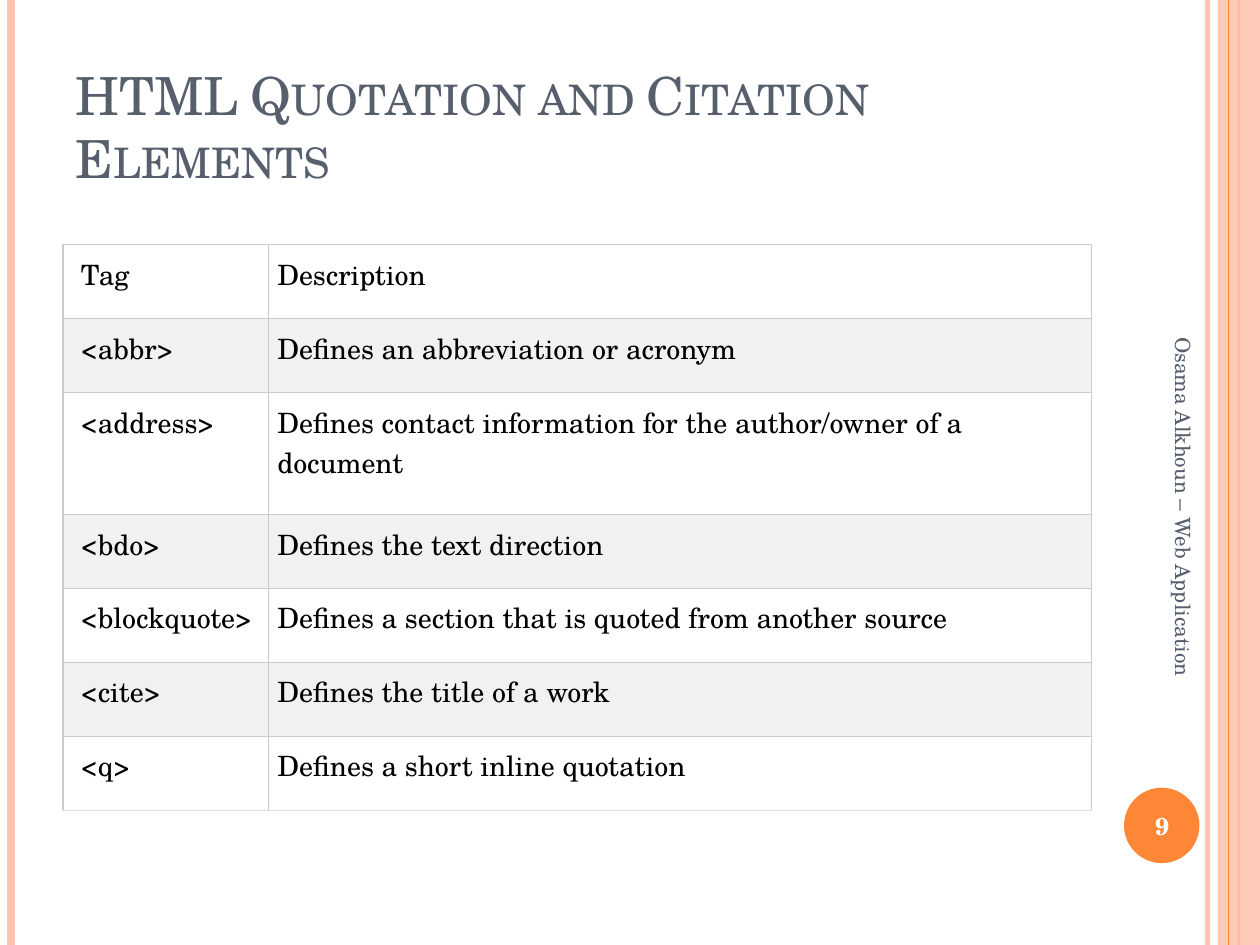
from pptx import Presentation
from pptx.dml.color import RGBColor
from pptx.enum import shapes, text
from pptx.oxml import parse_xml
from pptx.oxml.ns import nsdecls, qn
from pptx.util import Cm, Pt

TITLE = "HTML Quotation and Citation Elements"
FOOTER = "Osama Alkhoun – Web Application"
PAGE_NUMBER = "9"
ROWS = [
    ("Tag", "Description"),
    ("<abbr>", "Defines an abbreviation or acronym"),
    ("<address>", "Defines contact information for the author/owner of a document"),
    ("<bdo>", "Defines the text direction"),
    ("<blockquote>", "Defines a section that is quoted from another source"),
    ("<cite>", "Defines the title of a work"),
    ("<q>", "Defines a short inline quotation"),
]

FONT = "TeX Gyre Schola"
ORANGE = RGBColor(0xFE, 0x86, 0x37)
PEACH = RGBColor(0xFE, 0xC3, 0xAE)
SLATE = RGBColor(0x57, 0x5F, 0x6D)
BLACK = RGBColor(0, 0, 0)
WHITE = RGBColor(0xFF, 0xFF, 0xFF)
GREY = RGBColor(0xF1, 0xF1, 0xF1)
BORDER = RGBColor(0xCC, 0xCC, 0xCC)
LAST_BORDER = RGBColor(0xDD, 0xDD, 0xDD)

WIDTH, HEIGHT = Cm(25.4), Cm(19.05)
COLUMN_WIDTHS = (4.14, 16.6)
LEFT_INSETS = (0.36, 0.18)
ROW_HEIGHT, TALL_ROW_HEIGHT, TALL_ROW = 1.49, 2.46, 2


def set_alpha(fill, percent):
    color = fill._xPr.find(qn("a:solidFill"))[0]
    color.append(parse_xml(f'<a:alpha {nsdecls("a")} val="{percent * 1000}"/>'))


def write(frame, words, size, color, bold=False, align=text.PP_ALIGN.LEFT):
    frame.word_wrap = True
    para = frame.paragraphs[0]
    para.text = words
    para.alignment = align
    font = para.font
    font.name, font.size, font.bold = FONT, Pt(size), bold
    font.color.rgb = color


def add_text(page, place, words, size, color, anchor, **style):
    box = page.shapes.add_textbox(*map(Cm, place))
    box.text_frame.vertical_anchor = anchor
    write(box.text_frame, words, size, color, **style)
    return box


def add_vertical_line(page, x, color, width, alpha=100):
    line = page.shapes.add_connector(
        shapes.MSO_CONNECTOR.STRAIGHT, Cm(x), 0, Cm(x), HEIGHT)
    line.line.color.rgb = color
    line.line.width = Pt(width)
    if alpha < 100:
        set_alpha(line.line.fill, alpha)
    line._element.spPr.append(parse_xml(f'<a:effectLst {nsdecls("a")}/>'))


def add_filled(page, kind, place, color):
    shape = page.shapes.add_shape(kind, *map(Cm, place))
    shape.fill.solid()
    shape.fill.fore_color.rgb = color
    shape.line.fill.background()
    shape.shadow.inherit = False
    return shape


def set_borders(cell, bottom):
    sides = {"lnL": BORDER, "lnR": BORDER, "lnT": BORDER, "lnB": bottom}
    for index, (side, color) in enumerate(sides.items()):
        cell._tc.get_or_add_tcPr().insert(index, parse_xml(
            f'<a:{side} {nsdecls("a")} w="{Pt(0.75)}"><a:solidFill>'
            f'<a:srgbClr val="{color}"/></a:solidFill></a:{side}>'))


def add_tag_table(page):
    heights = [TALL_ROW_HEIGHT if i == TALL_ROW else ROW_HEIGHT
               for i in range(len(ROWS))]
    table = page.shapes.add_table(
        len(ROWS), len(COLUMN_WIDTHS), Cm(1.27), Cm(4.93),
        Cm(sum(COLUMN_WIDTHS)), Cm(sum(heights))).table
    for column, width in zip(table.columns, COLUMN_WIDTHS):
        column.width = Cm(width)
    for r, (row, height) in enumerate(zip(table.rows, heights)):
        row.height = Cm(height)
        for c, cell in enumerate(row.cells):
            write(cell.text_frame, ROWS[r][c], 16, BLACK)
            cell.margin_left = Cm(LEFT_INSETS[c])
            cell.margin_top = cell.margin_right = cell.margin_bottom = Cm(0.18)
            cell.fill.solid()
            cell.fill.fore_color.rgb = GREY if r % 2 else WHITE
            set_borders(cell, LAST_BORDER if r == len(ROWS) - 1 else BORDER)


def main():
    deck = Presentation()
    deck.slide_width, deck.slide_height = WIDTH, HEIGHT
    page = deck.slides.add_slide(deck.slide_layouts[6])

    # Side bands and number disc
    add_filled(page, shapes.MSO_SHAPE.OVAL, (22.66, 15.88, 1.52, 1.52), ORANGE)
    add_vertical_line(page, 24.34, PEACH, 3, alpha=93)
    add_vertical_line(page, 0.22, PEACH, 4.5)
    add_vertical_line(page, 24.97, ORANGE, 1.5)
    band = add_filled(page, shapes.MSO_SHAPE.RECTANGLE, (24.55, 0, 0.85, 19.05), PEACH)
    set_alpha(band.fill, 87)
    add_vertical_line(page, 24.77, ORANGE, 0.75)

    # Title, page number and sideways footer
    title = add_text(page, (1.27, 0.76, 20.75, 3.18), TITLE, 30, SLATE,
                     text.MSO_ANCHOR.BOTTOM)
    title.text_frame.paragraphs[0].font._element.set("cap", "small")
    add_text(page, (22.58, 15.93, 1.7, 1.45), PAGE_NUMBER, 14, WHITE,
             text.MSO_ANCHOR.MIDDLE, bold=True, align=text.PP_ALIGN.CENTER)
    footer = add_text(page, (19.41, 10.48, 8.89, 1.02), FOOTER, 12, SLATE,
                      text.MSO_ANCHOR.MIDDLE)
    footer.rotation = 90

    add_tag_table(page)
    deck.save("out.pptx")


if __name__ == "__main__":
    main()
